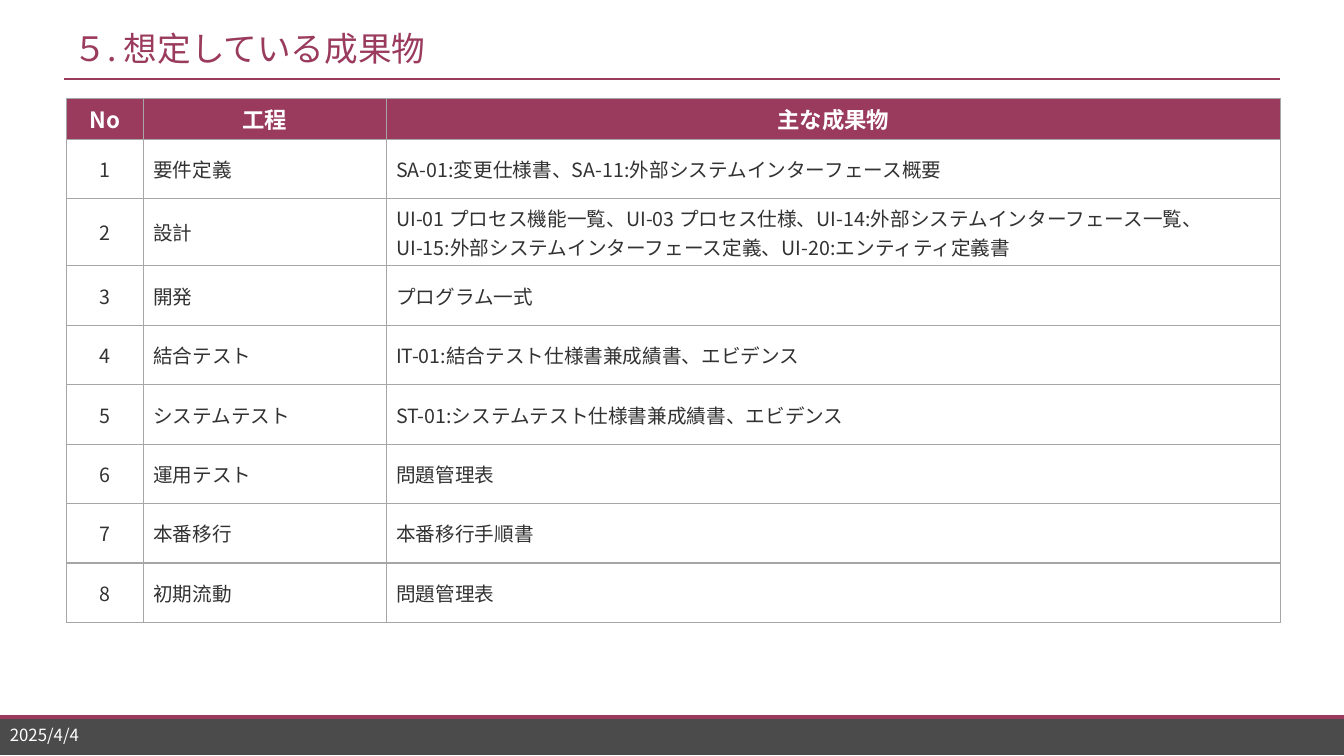
from dataclasses import dataclass

from lxml import etree
from pptx import Presentation
from pptx.dml.color import RGBColor
from pptx.enum.shapes import MSO_CONNECTOR, MSO_SHAPE
from pptx.enum.text import MSO_ANCHOR, PP_ALIGN
from pptx.oxml.ns import qn
from pptx.slide import Slide
from pptx.table import _Cell
from pptx.text.text import TextFrame
from pptx.util import Inches, Pt

STRAIGHT = MSO_CONNECTOR.STRAIGHT
RECTANGLE = MSO_SHAPE.RECTANGLE
MIDDLE = MSO_ANCHOR.MIDDLE
LEFT, CENTER = PP_ALIGN.LEFT, PP_ALIGN.CENTER


@dataclass(frozen=True)
class Theme:
    font: str = "Noto Sans CJK JP"
    accent: str = "9A3B5D"
    footer: str = "4B4B4B"
    border: str = "A6A6A6"
    ink: str = "323232"
    paper: str = "FFFFFF"
    title_size: int = 24
    header_size: int = 16
    body_size: int = 14
    date_size: int = 12
    border_width: float = 1


@dataclass(frozen=True)
class TextStyle:
    size: int
    color: str
    bold: bool = False
    align: PP_ALIGN = LEFT


@dataclass(frozen=True)
class Label:
    text: str
    left: float
    top: float
    width: float
    height: float
    style: TextStyle


@dataclass(frozen=True)
class Rule:
    left: float
    right: float
    top: float
    weight: float


@dataclass(frozen=True)
class Phase:
    name: str
    deliverables: str


THEME = Theme()
SLIDE_WIDTH, SLIDE_HEIGHT = 13.33, 7.5
HEADER_STYLE = TextStyle(THEME.header_size, THEME.paper, True, CENTER)
NUMBER_STYLE = TextStyle(THEME.body_size, THEME.ink, align=CENTER)
BODY_STYLE = TextStyle(THEME.body_size, THEME.ink)

RULES = [Rule(0, SLIDE_WIDTH, 7.11, 2.75), Rule(0.63, 12.7, 0.78, 1.5)]
LABELS = [
    Label("５. 想定している成果物", 0.63, 0.2, 12.07, 0.55,
          TextStyle(THEME.title_size, THEME.accent)),
    Label("2025/4/4", 0, 7.17, 1.57, 0.24,
          TextStyle(THEME.date_size, THEME.paper)),
]
HEADERS = ["No", "工程", "主な成果物"]
COLUMN_WIDTHS = [0.76, 2.41, 8.87]
HEADER_HEIGHT, ROW_HEIGHT = 0.38, 0.59
PHASES = [
    Phase("要件定義", "SA-01:変更仕様書、SA-11:外部システムインターフェース概要"),
    Phase("設計", "UI-01 プロセス機能一覧、UI-03 プロセス仕様、UI-14:外部システムインターフェース一覧、\n"
                "UI-15:外部システムインターフェース定義、UI-20:エンティティ定義書"),
    Phase("開発", "プログラム一式"),
    Phase("結合テスト", "IT-01:結合テスト仕様書兼成績書、エビデンス"),
    Phase("システムテスト", "ST-01:システムテスト仕様書兼成績書、エビデンス"),
    Phase("運用テスト", "問題管理表"),
    Phase("本番移行", "本番移行手順書"),
    Phase("初期流動", "問題管理表"),
]


def write_text(frame: TextFrame, text: str, style: TextStyle) -> None:
    """Fill a text frame and format each of its paragraphs."""
    frame.text = text
    font_format = {"name": THEME.font, "size": Pt(style.size), "bold": style.bold}
    for paragraph in frame.paragraphs:
        paragraph.alignment = style.align
        for run in paragraph.runs:
            for attribute, value in font_format.items():
                setattr(run.font, attribute, value)
            run.font.color.rgb = RGBColor.from_string(style.color)
            east_asian = etree.SubElement(run._r.get_or_add_rPr(), qn("a:ea"))
            east_asian.set("typeface", THEME.font)


def add_footer_bar(slide: Slide) -> None:
    """Draw the dark bar along the bottom edge."""
    bar = slide.shapes.add_shape(
        RECTANGLE, 0, Inches(7.1), Inches(SLIDE_WIDTH), Inches(0.39))
    bar.shadow.inherit = False
    bar.fill.solid()
    bar.fill.fore_color.rgb = RGBColor.from_string(THEME.footer)
    bar.line.fill.background()


def add_rule(slide: Slide, rule: Rule) -> None:
    """Draw a horizontal accent line."""
    connector = slide.shapes.add_connector(
        STRAIGHT, Inches(rule.left), Inches(rule.top),
        Inches(rule.right), Inches(rule.top))
    connector.line.color.rgb = RGBColor.from_string(THEME.accent)
    connector.line.width = Pt(rule.weight)
    etree.SubElement(connector._element.spPr, qn("a:effectLst"))


def add_label(slide: Slide, label: Label) -> None:
    """Place a line of text in its own box."""
    frame = slide.shapes.add_textbox(
        Inches(label.left), Inches(label.top),
        Inches(label.width), Inches(label.height)).text_frame
    frame.word_wrap = True
    frame.vertical_anchor = MIDDLE
    write_text(frame, label.text, label.style)


def add_borders(cell: _Cell) -> None:
    """Outline all four sides of a cell."""
    properties = cell._tc.get_or_add_tcPr()
    for position, side in enumerate(("lnL", "lnR", "lnT", "lnB")):
        line = etree.Element(qn(f"a:{side}"), w=str(Pt(THEME.border_width)))
        fill = etree.SubElement(line, qn("a:solidFill"))
        etree.SubElement(fill, qn("a:srgbClr"), val=THEME.border)
        properties.insert(position, line)


def format_cell(cell: _Cell, text: str, style: TextStyle, fill: str) -> None:
    """Write a cell and set its fill, margins and borders."""
    cell_format = {"vertical_anchor": MIDDLE}
    if style.align == CENTER:
        for side in ("left", "right", "top", "bottom"):
            cell_format[f"margin_{side}"] = Inches(0.04)
    for attribute, value in cell_format.items():
        setattr(cell, attribute, value)
    cell.fill.solid()
    cell.fill.fore_color.rgb = RGBColor.from_string(fill)
    add_borders(cell)
    write_text(cell.text_frame, text, style)


def add_deliverables_table(slide: Slide) -> None:
    """Build the table of deliverables by phase."""
    heights = [HEADER_HEIGHT] + [ROW_HEIGHT] * len(PHASES)
    table = slide.shapes.add_table(
        len(heights), len(HEADERS), Inches(0.66), Inches(0.98),
        Inches(sum(COLUMN_WIDTHS)), Inches(sum(heights))).table
    for column, width in zip(table.columns, COLUMN_WIDTHS):
        column.width = Inches(width)
    for row, height in zip(table.rows, heights):
        row.height = Inches(height)
    for column_index, header in enumerate(HEADERS):
        format_cell(table.cell(0, column_index), header, HEADER_STYLE, THEME.accent)
    for number, phase in enumerate(PHASES, start=1):
        texts = (str(number), phase.name, phase.deliverables)
        styles = (NUMBER_STYLE, BODY_STYLE, BODY_STYLE)
        for column_index, (text, style) in enumerate(zip(texts, styles)):
            format_cell(table.cell(number, column_index), text, style, THEME.paper)


def main() -> None:
    """Build the slide and save the presentation."""
    presentation = Presentation()
    presentation.slide_width = Inches(SLIDE_WIDTH)
    presentation.slide_height = Inches(SLIDE_HEIGHT)
    slide = presentation.slides.add_slide(presentation.slide_layouts[6])
    add_footer_bar(slide)
    for rule in RULES:
        add_rule(slide, rule)
    add_deliverables_table(slide)
    for label in LABELS:
        add_label(slide, label)
    presentation.save("out.pptx")


if __name__ == "__main__":
    main()
